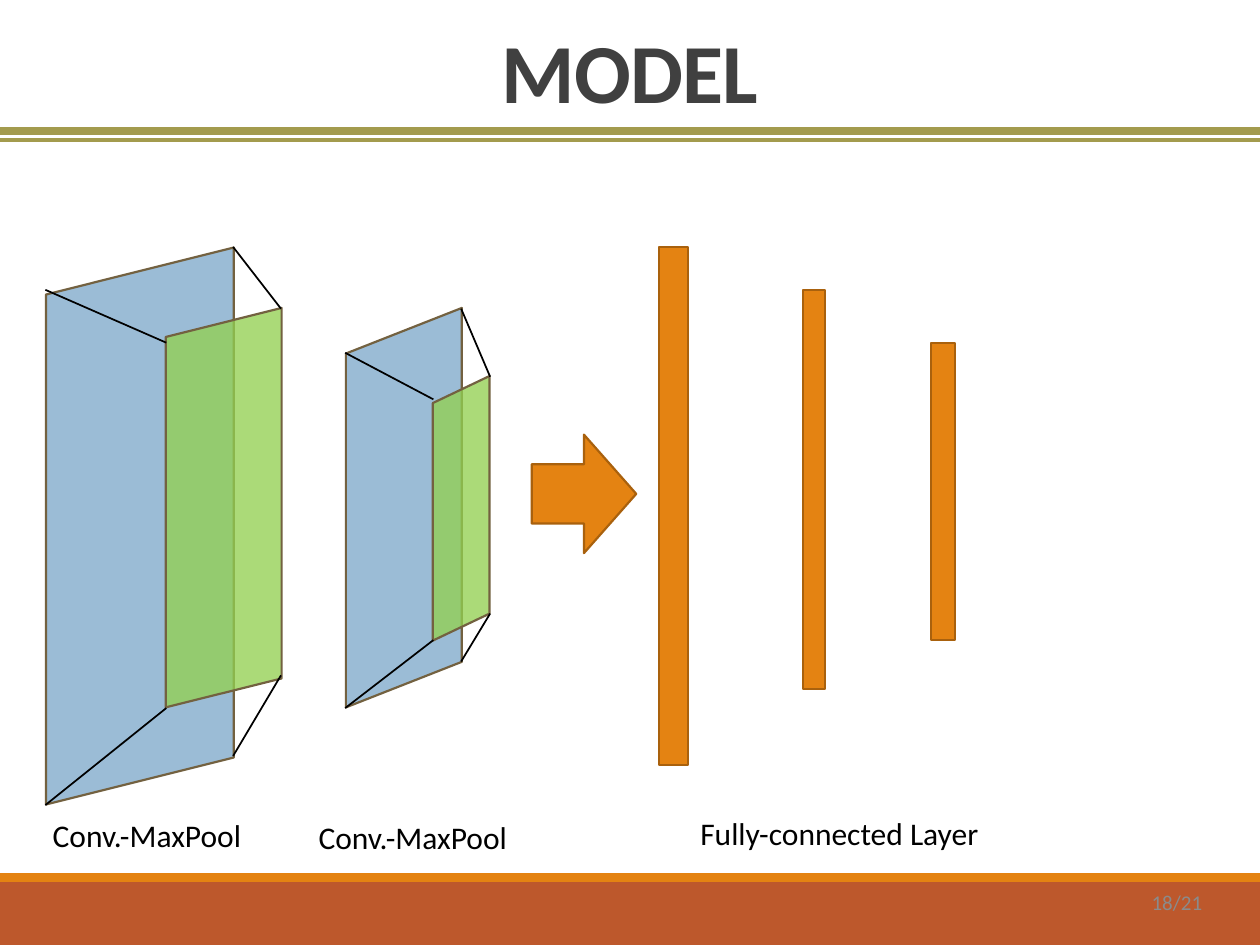
import pptx
import pptx.util
import pptx.dml.color
import pptx.enum.shapes
import pptx.enum.text
import pptx.oxml.ns
import lxml.etree

Inches, Pt = pptx.util.Inches, pptx.util.Pt
SHAPE = pptx.enum.shapes.MSO_SHAPE
ALIGN = pptx.enum.text.PP_ALIGN
ANCHOR = pptx.enum.text.MSO_ANCHOR
FIT = pptx.enum.text.MSO_AUTO_SIZE

ORANGE, ORANGE_EDGE, RUST, OLIVE = "E48312", "A9610D", "BD582C", "A39B4E"
BLUE, GREEN, PLANE_EDGE = "7EA9CA", "92D050", "736140"

footer_bands = [((0, 7, 10, 0.5), RUST), ((0, 6.93, 10, 0.07), ORANGE)]
header_rules = [(1.04, 4.5), (1.11, 2)]
dense_layers = [(5.23, 1.96, 0.23, 4.11), (6.37, 2.3, 0.18, 3.17), (7.39, 2.72, 0.19, 2.36)]
flow_arrow = (4.22, 3.45, 0.83, 0.94)
feature_planes = [
    ((-1.1, 3.43, 4.42, 1.49), 0.25, BLUE),
    ((0.19, 3.57, 3.17, 0.92), 0.25, GREEN),
    ((1.62, 3.57, 3.17, 0.92), 0.393, BLUE),
    ((2.61, 3.81, 2.1, 0.45), 0.476, GREEN),
]
projections = [
    ((1.85, 1.96), (2.23, 2.45)),
    ((0.36, 2.3), (1.32, 2.72)),
    ((0.36, 6.39), (1.32, 5.62)),
    ((1.85, 6), (2.23, 5.36)),
    ((3.66, 2.45), (3.89, 2.99)),
    ((2.74, 2.8), (3.44, 3.17)),
    ((2.74, 5.62), (3.44, 5.08)),
    ((3.89, 4.87), (3.66, 5.25)),
]
captions = [
    ("Conv.-MaxPool", (0.32, 6.43, 1.91, 0.4)),
    ("Conv.-MaxPool", (2.43, 6.44, 1.91, 0.4)),
    ("Fully-connected Layer", (5.46, 6.41, 3.07, 0.4)),
]


def rgb(code):
    return pptx.dml.color.RGBColor.from_string(code)


def add_block(kind, box, fill, edge=None):
    block = slide.shapes.add_shape(kind, *map(Inches, box))
    block.shadow.inherit = False
    block.fill.solid()
    block.fill.fore_color.rgb = rgb(fill)
    if edge:
        block.line.color.rgb = rgb(edge)
        block.line.width = Pt(1.25)
    else:
        block.line.fill.background()
    return block


def add_plane(box, slant, fill):
    plane = add_block(SHAPE.PARALLELOGRAM, box, fill, PLANE_EDGE)
    plane.adjustments[0] = slant
    plane.rotation = 270
    properties = plane.element.spPr
    properties.find(pptx.oxml.ns.qn("a:xfrm")).set("flipV", "1")
    color = properties.find(pptx.oxml.ns.qn("a:solidFill"))[0]
    lxml.etree.SubElement(color, pptx.oxml.ns.qn("a:alpha")).set("val", "77000")


def add_line(start, end, color, width):
    ends = map(Inches, (*start, *end))
    line = slide.shapes.add_connector(pptx.enum.shapes.MSO_CONNECTOR.STRAIGHT, *ends)
    line.line.color.rgb = rgb(color)
    line.line.width = Pt(width)
    lxml.etree.SubElement(line.element.spPr, pptx.oxml.ns.qn("a:effectLst"))


def write(frame, text, size, color, align, bold=False):
    frame.text = text
    frame.word_wrap = True
    paragraph = frame.paragraphs[0]
    paragraph.alignment = align
    font = paragraph.runs[0].font
    font.name, font.size, font.bold = "Calibri", Pt(size), bold
    font.color.rgb = rgb(color)
    return paragraph


def add_label(text, box, size, color, align):
    label = slide.shapes.add_textbox(*map(Inches, box))
    write(label.text_frame, text, size, color, align)
    return label


deck = pptx.Presentation()
deck.slide_width, deck.slide_height = Inches(10), Inches(7.5)
slide = deck.slides.add_slide(deck.slide_layouts[5])

for box, fill in footer_bands:
    add_block(SHAPE.RECTANGLE, box, fill)
for y, width in header_rules:
    add_line((0, y), (10, y), OLIVE, width)

title = slide.shapes.title
title.left, title.top, title.width, title.height = map(Inches, (0, -0.58, 10, 1.59))
heading = write(title.text_frame, "MODEL", 48, "404040", ALIGN.CENTER, True)
heading.line_spacing = 0.85
heading.runs[0].font._element.set("spc", "-50")
title.text_frame.vertical_anchor = ANCHOR.BOTTOM
title.text_frame.auto_size = FIT.NONE

for box in dense_layers:
    add_block(SHAPE.RECTANGLE, box, ORANGE, ORANGE_EDGE)
for box, slant, fill in feature_planes:
    add_plane(box, slant, fill)
for start, end in projections:
    add_line(start, end, "000000", 1)
add_block(SHAPE.RIGHT_ARROW, flow_arrow, ORANGE, ORANGE_EDGE)

for text, box in captions:
    caption = add_label(text, box, 18, "000000", ALIGN.LEFT)
    caption.text_frame.auto_size = FIT.SHAPE_TO_FIT_TEXT
page = add_label("18/21", (8.64, 6.96, 1, 0.4), 12, "8B8B8B", ALIGN.RIGHT)
page.text_frame.vertical_anchor = ANCHOR.MIDDLE

deck.save("out.pptx")
